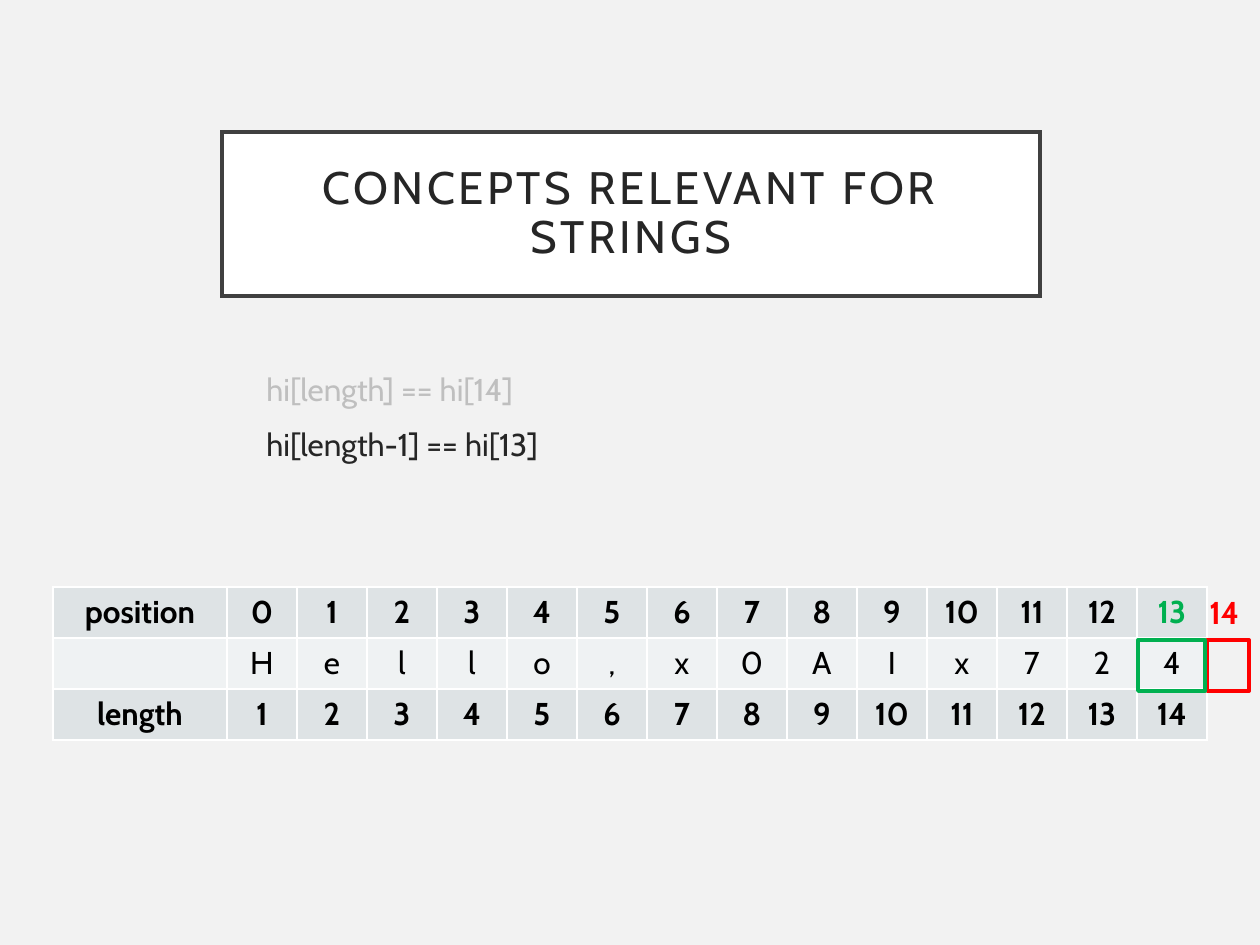
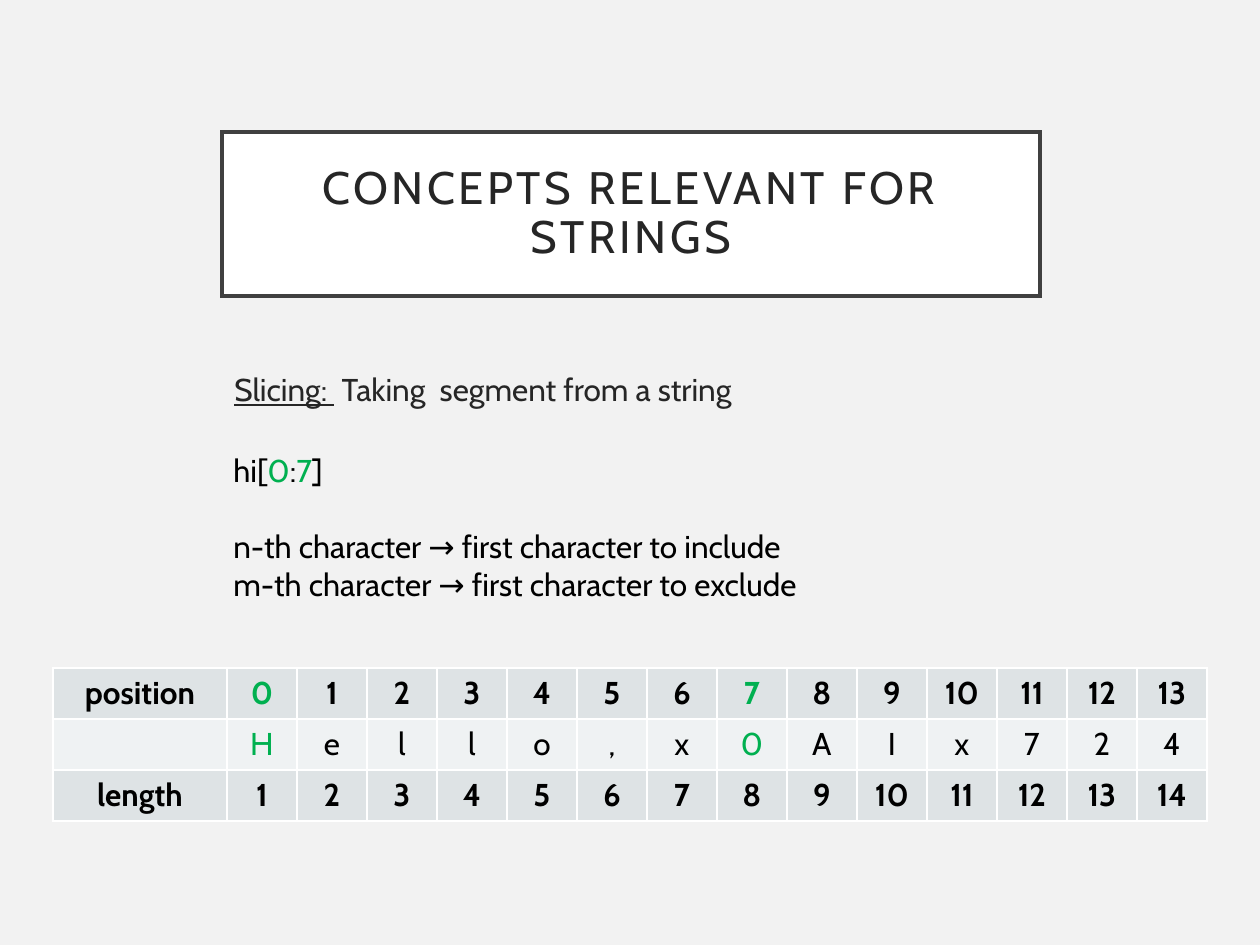
from lxml.etree import SubElement
from pptx import Presentation
from pptx.dml.color import RGBColor
from pptx.enum.shapes import MSO_SHAPE as Shape
from pptx.enum.text import MSO_ANCHOR as Anchor, MSO_AUTO_SIZE as AutoSize, PP_ALIGN as Align
from pptx.oxml.ns import qn
from pptx.util import Emu, Pt

PX = 914400 / 126
COLORS = {
    "background": "F2F2F2", "white": "FFFFFF", "frame": "404040",
    "ink": "262626", "black": "000000", "faded": "BFBFBF",
    "green": "00B050", "red": "FF0000",
    "label_row": "DEE3E5", "letter_row": "EFF2F3",
}
FONT = {"name": "Cabin", "size": Pt(18)}
TITLE_TEXT = "CONCEPTS RELEVANT FOR STRINGS"
TITLE_FRAME = {"vertical_anchor": Anchor.MIDDLE, "word_wrap": True, "auto_size": AutoSize.NONE,
               **dict.fromkeys(["margin_left", "margin_top", "margin_right", "margin_bottom"],
                               Emu(round(25 * PX)))}
BODY_BOX = (222, 364, 818, 427)
LETTERS = "Hello,x0AIx724"
TABLE_LEFT, LABEL_WIDTH, LETTER_WIDTH, ROW_HEIGHT = 53, 174, 70, 51


def emu(*lengths):
    return [Emu(round(length * PX)) for length in lengths]


def rgb(name):
    return RGBColor.from_string(COLORS[name])


def apply(target, values):
    for name, value in values.items():
        setattr(target, name, value)


def add_run(paragraph, text, color, **font):
    run = paragraph.add_run()
    run.text = text
    apply(run.font, {**FONT, **font})
    run.font.color.rgb = rgb(color)
    return run


def style_box(shape, line, width, fill=None):
    if fill:
        shape.fill.solid()
        shape.fill.fore_color.rgb = rgb(fill)
    else:
        shape.fill.background()
    shape.line.color.rgb = rgb(line)
    shape.line.width = Pt(width)


def add_slide(prs):
    """Slide with the shared background and framed title."""
    slide = prs.slides.add_slide(prs.slide_layouts[5])
    slide.background.fill.solid()
    slide.background.fill.fore_color.rgb = rgb("background")
    title = slide.shapes.title
    apply(title, dict(zip(("left", "top", "width", "height"), emu(222, 132, 818, 164))))
    style_box(title, "frame", 2.5, "white")
    SubElement(title.element.spPr.find(qn("a:ln")), qn("a:miter"), lim="800000")
    apply(title.text_frame, TITLE_FRAME)
    heading = title.text_frame.paragraphs[0]
    apply(heading, {"alignment": Align.CENTER, "line_spacing": 0.9})
    run = add_run(heading, TITLE_TEXT, "ink", size=Pt(26))
    run.font._element.set("spc", "200")
    return slide


def add_text(slide, box, lines, gaps, indent=0, wrap=True):
    """Each line is a list of (text, color, font values); gaps are points before each line."""
    frame = slide.shapes.add_textbox(*emu(*box)).text_frame
    frame.word_wrap = wrap
    for index, (runs, gap) in enumerate(zip(lines, gaps)):
        paragraph = frame.add_paragraph() if index else frame.paragraphs[0]
        paragraph.space_before = Pt(gap)
        if indent:
            paragraph._p.get_or_add_pPr().set("marL", str(emu(indent)[0]))
        for text, color, font in runs:
            add_run(paragraph, text, color, **font)


def add_cell_borders(cell):
    properties = cell._tc.get_or_add_tcPr()
    for side in ("lnL", "lnR", "lnT", "lnB"):
        border = SubElement(properties, qn(f"a:{side}"), w=str(Pt(1)))
        fill = SubElement(border, qn("a:solidFill"))
        SubElement(fill, qn("a:srgbClr"), val=COLORS["white"])


def add_index_table(slide, top, green_cells):
    """Letters between their positions and the running length."""
    count = len(LETTERS)
    rows = [["position", *range(count)], ["", *LETTERS], ["length", *range(1, count + 1)]]
    widths = [LABEL_WIDTH] + [LETTER_WIDTH] * count
    table = slide.shapes.add_table(
        len(rows), len(widths),
        *emu(TABLE_LEFT, top, sum(widths), ROW_HEIGHT * len(rows))).table
    apply(table, {"first_row": False, "horz_banding": False})
    for column, width in zip(table.columns, emu(*widths)):
        column.width = width
    for r, values in enumerate(rows):
        is_label_row = r != 1
        for c, value in enumerate(values):
            cell = table.cell(r, c)
            add_cell_borders(cell)
            cell.fill.solid()
            cell.fill.fore_color.rgb = rgb("label_row" if is_label_row else "letter_row")
            paragraph = cell.text_frame.paragraphs[0]
            apply(paragraph, {"alignment": Align.CENTER})
            apply(paragraph.font, FONT)
            if value != "":
                color = "green" if (r, c) in green_cells else "black"
                add_run(paragraph, str(value), color, bold=is_label_row)


def add_marker(slide, box, color):
    marker = slide.shapes.add_shape(Shape.RECTANGLE, *emu(*box))
    marker.shadow.inherit = False
    style_box(marker, color, 2.25)


def build_last_index(prs):
    slide = add_slide(prs)
    add_text(slide, BODY_BOX, [[("hi[length] == hi[14]", "faded", {})],
                               [("hi[length-1] == hi[13]", "ink", {})]], (10, 10), indent=32)
    add_index_table(slide, 587, {(0, 14)})
    # Position past the end, and the last valid one
    add_text(slide, (1197, 587, 63, 51), [[("14", "red", {"bold": True})]], (0,), wrap=False)
    add_marker(slide, (1207, 640, 42, 51), "red")
    add_marker(slide, (1138, 640, 67, 51), "green")


def build_slicing(prs):
    slide = add_slide(prs)
    add_text(slide, BODY_BOX, [[("Slicing: ", "ink", {"underline": True}),
                                (" Taking  segment from a string", "ink", {})]], (10,))
    # Slice expression and the meaning of its bounds
    expression = [("hi[", "black", {}), ("0", "green", {}), (":", "black", {}),
                  ("7", "green", {}), ("]", "black", {})]
    bounds = [[(f"{bound}-th character → first character to {action}", "black", {})]
              for bound, action in (("n", "include"), ("m", "exclude"))]
    add_text(slide, (221, 445, 934, 204), [expression, *bounds], (0, 22, 0))
    add_index_table(slide, 668, {(0, 1), (1, 1), (0, 8), (1, 8)})


def main():
    prs = Presentation()
    prs.slide_width, prs.slide_height = emu(1260, 945)
    build_last_index(prs)
    build_slicing(prs)
    prs.save("out.pptx")


if __name__ == "__main__":
    main()
